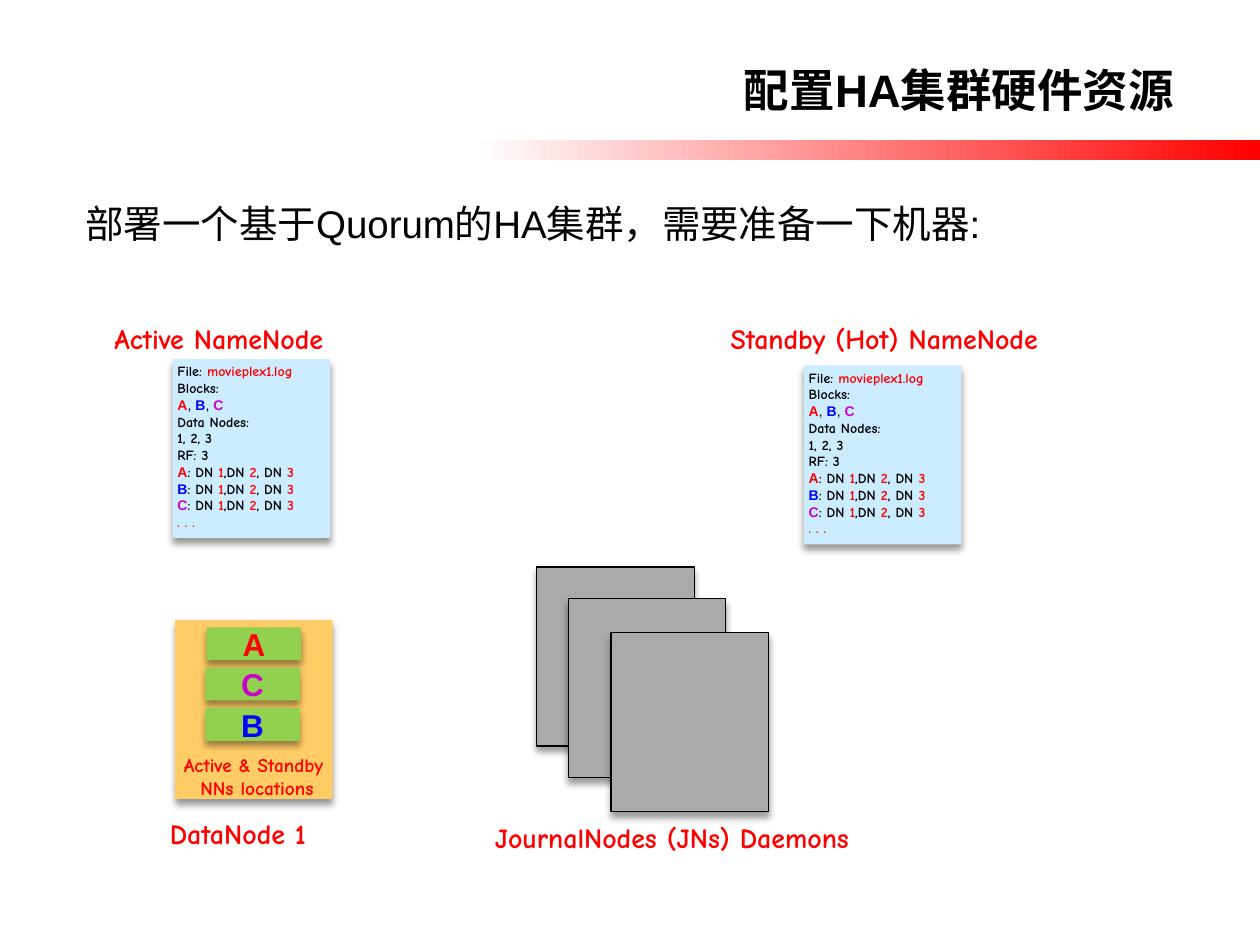
"""Build the slide on hardware resources for a Quorum-based HA cluster."""
from lxml.etree import SubElement
from pptx import Presentation
from pptx.dml.color import RGBColor
from pptx.enum.shapes import MSO_SHAPE as SHAPE
from pptx.enum.text import MSO_ANCHOR as ANCHOR, MSO_AUTO_SIZE as AUTO, PP_ALIGN as ALIGN
from pptx.oxml.ns import qn
from pptx.util import Inches, Pt

BLACK = RGBColor(0x00, 0x00, 0x00)
WHITE = RGBColor(0xFF, 0xFF, 0xFF)
RED = RGBColor(0xFF, 0x00, 0x00)
BLUE = RGBColor(0x00, 0x00, 0xFF)
PURPLE = RGBColor(0xCC, 0x00, 0xCC)
SKY = RGBColor(0xCC, 0xEC, 0xFF)
ORANGE = RGBColor(0xFF, 0xCC, 0x66)
GREEN = RGBColor(0x92, 0xD0, 0x50)
GRAY = RGBColor(0xAA, 0xAA, 0xAA)

BLOCKS = {"A": RED, "B": BLUE, "C": PURPLE}
NODE_SIZE = (1.25, 1.42)


class ClusterSlide:
    """Hold the text style, the slide and the group being drawn."""

    sans = "Arial"
    comic = "Comic Neue"
    tight = {side: Inches(0.01) for side in
             ("margin_left", "margin_top", "margin_right", "margin_bottom")}

    def __init__(self, slide):
        """Start drawing straight on the slide."""
        self.slide = slide
        self.shapes = slide.shapes

    def group(self):
        """Send the following elements to a new group."""
        self.shapes = self.slide.shapes.add_group_shape().shapes

    def fill_lines(self, frame, lines, size, align=ALIGN.LEFT):
        """Fill a frame with lines of (text, colour, font, bold) runs."""
        for number, line in enumerate(lines):
            paragraph = frame.add_paragraph() if number else frame.paragraphs[0]
            paragraph.alignment = align
            for text, color, name, bold in line:
                run = paragraph.add_run()
                run.text = text
                run.font.color.rgb = color
                for key, value in {"name": name, "size": Pt(size), "bold": bold}.items():
                    setattr(run.font, key, value)

    def text(self, place, lines, size, align=ALIGN.LEFT, wrap=True, **frame_format):
        """Add a text box."""
        frame = self.shapes.add_textbox(*map(Inches, place)).text_frame
        values = {"word_wrap": wrap, "auto_size": AUTO.SHAPE_TO_FIT_TEXT, **frame_format}
        for key, value in values.items():
            setattr(frame, key, value)
        self.fill_lines(frame, lines, size, align)

    def caption(self, place, label, wrap=False):
        """Add the red name of a node."""
        self.text(place, [[(label, RED, self.comic, True)]], 16, wrap=wrap)

    def band(self, place):
        """Add the band fading from white to red."""
        band = self.shapes.add_shape(SHAPE.RECTANGLE, *map(Inches, place))
        band.shadow.inherit = False
        band.line.fill.background()
        band.fill.gradient()
        band.fill.gradient_angle = 0
        for stop, position, color in zip(band.fill.gradient_stops, (0, 1), (WHITE, RED)):
            stop.position = position
            stop.color.rgb = color

    def card(self, place, color, outlined=False):
        """Add a rectangle with a soft shadow below it."""
        card = self.shapes.add_shape(SHAPE.RECTANGLE, *map(Inches, place))
        card.fill.solid()
        card.fill.fore_color.rgb = color
        if outlined:
            card.line.color.rgb = BLACK
            card.line.width = Pt(0.75)
        else:
            card.line.fill.background()
        card.shadow.inherit = False
        effects = card.element.spPr.find(qn("a:effectLst"))
        shadow = SubElement(effects, qn("a:outerShdw"), blurRad=str(Pt(4)),
                            dist=str(Pt(3)), dir="5400000", rotWithShape="0")
        tint = SubElement(shadow, qn("a:srgbClr"), val="000000")
        SubElement(tint, qn("a:alpha"), val="40000")
        return card

    def block(self, left, top, letter):
        """Add a green data block with its letter."""
        frame = self.card((left, top, 0.75, 0.26), GREEN).text_frame
        frame.vertical_anchor = ANCHOR.MIDDLE
        self.fill_lines(frame, [[(letter, BLOCKS[letter], self.sans, True)]], 18, ALIGN.CENTER)

    def metadata(self, left, top):
        """Add the file metadata sheet of a NameNode."""
        def plain(text, color=BLACK):
            return text, color, self.comic, True

        def letter(name):
            return name, BLOCKS[name], self.sans, True

        comma = (", ", BLACK, self.sans, False)
        replicas = [plain(text, color) for label, node in
                    ((": DN ", "1"), (",DN ", "2"), (", DN ", "3"))
                    for text, color in ((label, BLACK), (node, RED))]
        lines = [
            [plain("File: "), plain("movieplex1.log", RED)],
            [plain("Blocks:")],
            [letter("A"), comma, letter("B"), comma, letter("C")],
            *([plain(text)] for text in ("Data Nodes:", "1, 2, 3", "RF: 3")),
            *([letter(name), *replicas] for name in BLOCKS),
            [plain(". . .", RED)],
        ]
        self.card((left, top, *NODE_SIZE), SKY)
        self.text((left - 0.06, top - 0.02, 1.67, 1.45), lines, 8)


def main():
    """Draw the slide and save it."""
    deck = Presentation()
    deck.slide_width, deck.slide_height = Inches(10), Inches(7.5)
    page = ClusterSlide(deck.slides.add_slide(deck.slide_layouts[6]))

    page.band((3.77, 1.11, 6.23, 0.16))
    page.text((0.67, 0.48, 8.66, 0.96), [[("配置HA集群硬件资源", BLACK, page.sans, True)]],
              26, ALIGN.RIGHT, **{**page.tight, "auto_size": AUTO.NONE})
    intro = "部署一个基于Quorum的HA集群，需要准备一下机器:"
    page.text((0.67, 1.58, 8.66, 0.4), [[(intro, BLACK, page.sans, False)]],
              22, **page.tight)

    for name, name_left, width, left, top in (
            ("Active NameNode", 0.81, 2.15, 1.37, 2.85),
            ("Standby (Hot) NameNode", 5.7, 3.01, 6.38, 2.9)):
        page.group()
        page.metadata(left, top)
        page.caption((name_left, 2.5, width, 0.37), name)

    page.group()
    page.card((1.39, 4.92, *NODE_SIZE), ORANGE)
    page.caption((1.25, 6.43, 1.51, 0.37), "DataNode 1")
    for row, (left, letter) in enumerate(((1.64, "A"), (1.63, "C"), (1.63, "B"))):
        page.block(left, 4.98 + 0.32 * row, letter)
    locations = [[(text, RED, page.comic, True)]
                 for text in ("Active & Standby ", "NNs locations")]
    page.text((1.34, 5.93, 1.4, 0.47), locations, 11, ALIGN.CENTER, wrap=False)

    page.group()
    for left, top in ((4.26, 4.5), (4.51, 4.75), (4.85, 5.02)):
        page.card((left, top, *NODE_SIZE), GRAY, outlined=True)
    page.caption((3.83, 6.46, 4, 0.37), "JournalNodes (JNs) Daemons", wrap=True)

    deck.save("out.pptx")


if __name__ == "__main__":
    main()
